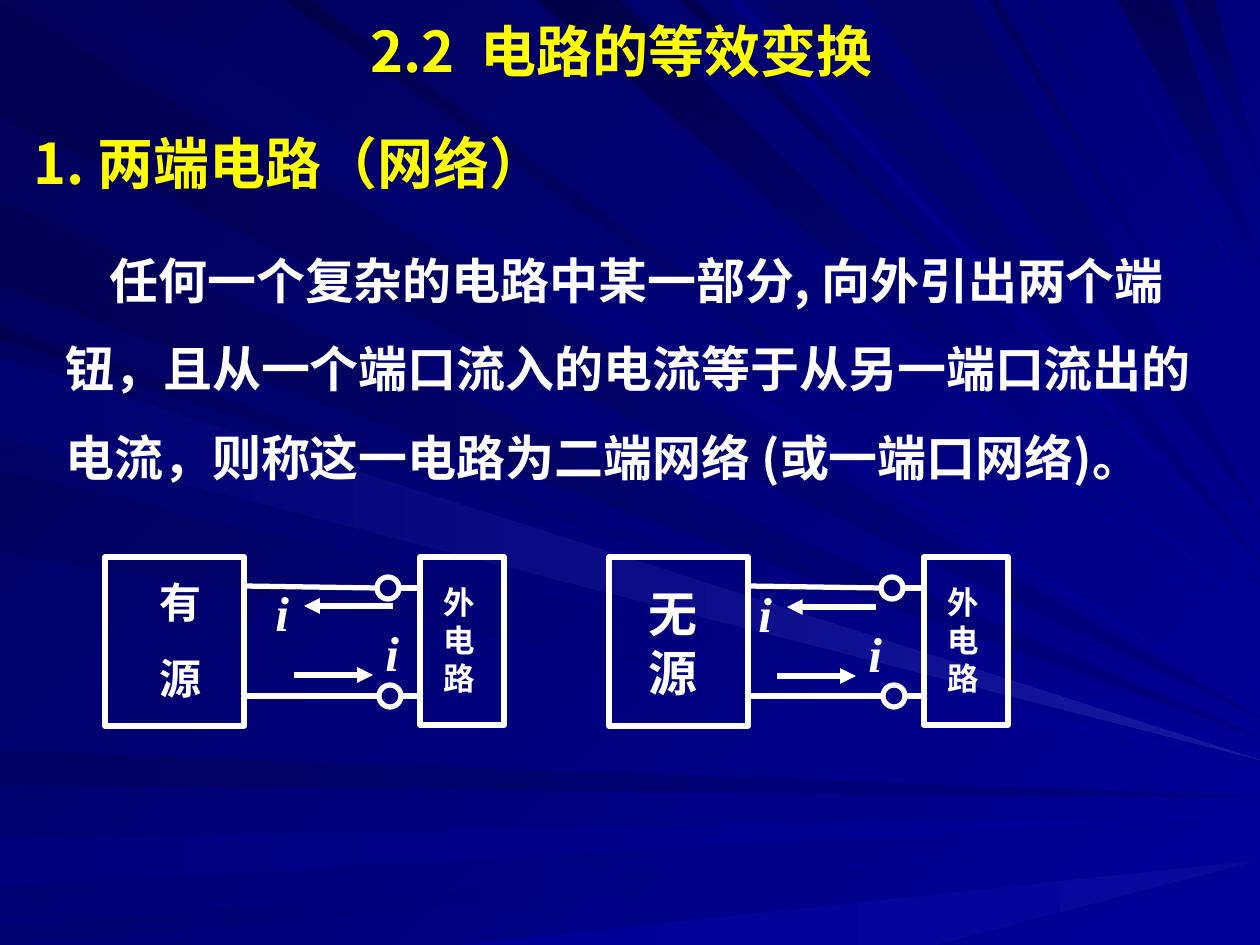
from lxml.etree import SubElement
from pptx import Presentation
from pptx.dml.color import RGBColor
from pptx.enum.shapes import MSO_CONNECTOR, MSO_SHAPE
from pptx.enum.text import MSO_ANCHOR, MSO_AUTO_SIZE, PP_ALIGN
from pptx.oxml.ns import qn
from pptx.util import Pt

PX = 914400 / 126
WIDE, HIGH = 1260, 945
HAN = "Noto Sans CJK SC"
WHITE, GOLD = "FFFFFF", "FFFF00"
rgb = RGBColor.from_string


def px(*nums):
    return [round(num * PX) for num in nums]


def write(box, lines, size, face=HAN, tint=WHITE, slant=None, gap=0, lead=None, dent=0):
    frame = box.text_frame
    frame.word_wrap = True
    frame.auto_size = MSO_AUTO_SIZE.NONE
    frame.vertical_anchor = MSO_ANCHOR.TOP
    frame.text = "\n".join(lines)
    for rank, para in enumerate(frame.paragraphs):
        para.alignment = PP_ALIGN.LEFT
        if rank:
            para.space_before = Pt(gap)
        if lead:
            para.line_spacing = lead
        if dent:
            para._p.get_or_add_pPr().set("indent", str(px(dent)[0]))
        font = para.font
        font.size, font.name, font.bold, font.italic = Pt(size), face, True, slant
        font.color.rgb = rgb(tint)
        SubElement(font._element, qn("a:ea"), typeface=HAN)


deck = Presentation()
deck.slide_width, deck.slide_height = px(WIDE, HIGH)
slide = deck.slides.add_slide(deck.slide_layouts[5])
shapes = slide.shapes

back = slide.background.fill
back.gradient()
back.gradient_angle = 315
for stop, tint in zip(back.gradient_stops, ("000058", "000099")):
    stop.color.rgb = rgb(tint)

fans = [
    ("left", "000080", 0, [("51", 3, 117, 718), ("61", 751, 785, 797), ("55", 200, 287, 737)]),
    ("top", "000099", 315, [("5D", 33, 127, 708), ("6B", 501, 524, 652),
                            ("47", 537, 620, 621), ("4F", 680, 696, 583)]),
    ("left", "000099", 0, [("7D", 838, 887, 815), ("6F", 926, 945, 834)]),
    ("bottom", "08089C", 0, [("99", 459, 935, 860)]),
    ("top", "000080", 270, [("65", 764, 833, 562), ("55", 1118, 1172, 265),
                            ("59", 1183, 1215, 177), ("65", 864, 970, 515)]),
    ("left", "000099", 315, [("53", 325, 340, 742), ("61", 350, 431, 755), ("5D", 471, 551, 763)]),
    ("top", "000099", 315, [("4A", 284, 311, 692), ("82", 727, 741, 572), ("58", 989, 998, 450),
                            ("6F", 1027, 1038, 422), ("79", 1090, 1099, 320)]),
    ("left", "1717A2", 0, [("6F", 357, 437, 760)]),
]
for edge, light, turn, rays in fans:
    for dark, near, far, end in rays:
        if edge == "left":
            base = [(0, near), (0, far)]
        else:
            side = HIGH if edge == "bottom" else 0
            base = [(near, side), (far, side)]
        pen = shapes.build_freeform(*base[0], scale=PX)
        pen.add_line_segments([base[1], (WIDE, end)], close=True)
        ray = pen.convert_to_shape()
        ray.shadow.inherit = False
        ray.line.fill.background()
        ray.fill.gradient()
        ray.fill.gradient_angle = turn
        for stop, tint in zip(ray.fill.gradient_stops, ("0000" + dark, light)):
            stop.color.rgb = rgb(tint)

title = shapes.title
shapes._spTree.append(title._element)
title.left, title.top, title.width, title.height = px(358, 10, 566, 81)
write(title, ["2.2  电路的等效变换"], 32, tint=GOLD)

head = shapes.add_textbox(*px(21, 122, 662, 81))
write(head, ["1. 两端电路（网络）"], 32, tint=GOLD)

body = shapes.add_textbox(*px(53, 215, 1155, 365))
write(body, ["任何一个复杂的电路中某一部分, 向外引出两个端钮，且从一个端口流入的电流"
             "等于从另一端口流出的电流，则称这一电路为二端网络 (或一端口网络)。"],
      28, lead=1.5, dent=44)

nets = [(0, 0, 0, ["有", "源"], 24, (147, 570, 63, 140)),
        (504, -21, 1, ["无源"], 28, (636, 577, 89, 131))]
for left, slip, drop, name, size, area in nets:
    shift = left + slip
    parts = [(MSO_SHAPE.RECTANGLE, left + 105, 557, 139, 169),
             (MSO_SHAPE.RECTANGLE, left + 420, 557, 84, 168)]
    wires = [(shift + 393, 606 + drop, shift + 304, 606 + drop, True),
             (shift + 294, 675 + drop, shift + 373, 675 + drop, True)]
    for mid, start, y in ((388, 586, 588), (390, 696, 696)):
        x = left + mid
        parts.append((MSO_SHAPE.OVAL, x - 11, y - 11, 22, 22))
        wires += [(left + 244, start, x - 11, y, False), (x + 11, y, left + 420, y, False)]

    for kind, *area_px in parts:
        part = shapes.add_shape(kind, *px(*area_px))
        part.shadow.inherit = False
        part.fill.background()
        part.line.color.rgb = rgb(WHITE)
        part.line.width = Pt(3)

    for *ends, arrow in wires:
        wire = shapes.add_connector(MSO_CONNECTOR.STRAIGHT, *px(*ends))
        wire.line.color.rgb = rgb(WHITE)
        wire.line.width = Pt(3)
        if arrow:
            SubElement(wire.line._get_or_add_ln(), qn("a:tailEnd"), type="triangle")
        SubElement(wire._element.spPr, qn("a:effectLst"))

    for x, y in ((373, 616), (263, 576)):
        mark = shapes.add_textbox(*px(shift + x, y + drop, 49, 72))
        write(mark, ["i"], 28, "Times New Roman", slant=True)

    label = shapes.add_textbox(*px(*area))
    write(label, name, size, "Arial", gap=15)
    load = shapes.add_textbox(*px(left + 431, 577, 73, 126))
    write(load, ["外电路"], 18, "Arial")

deck.save("out.pptx")
